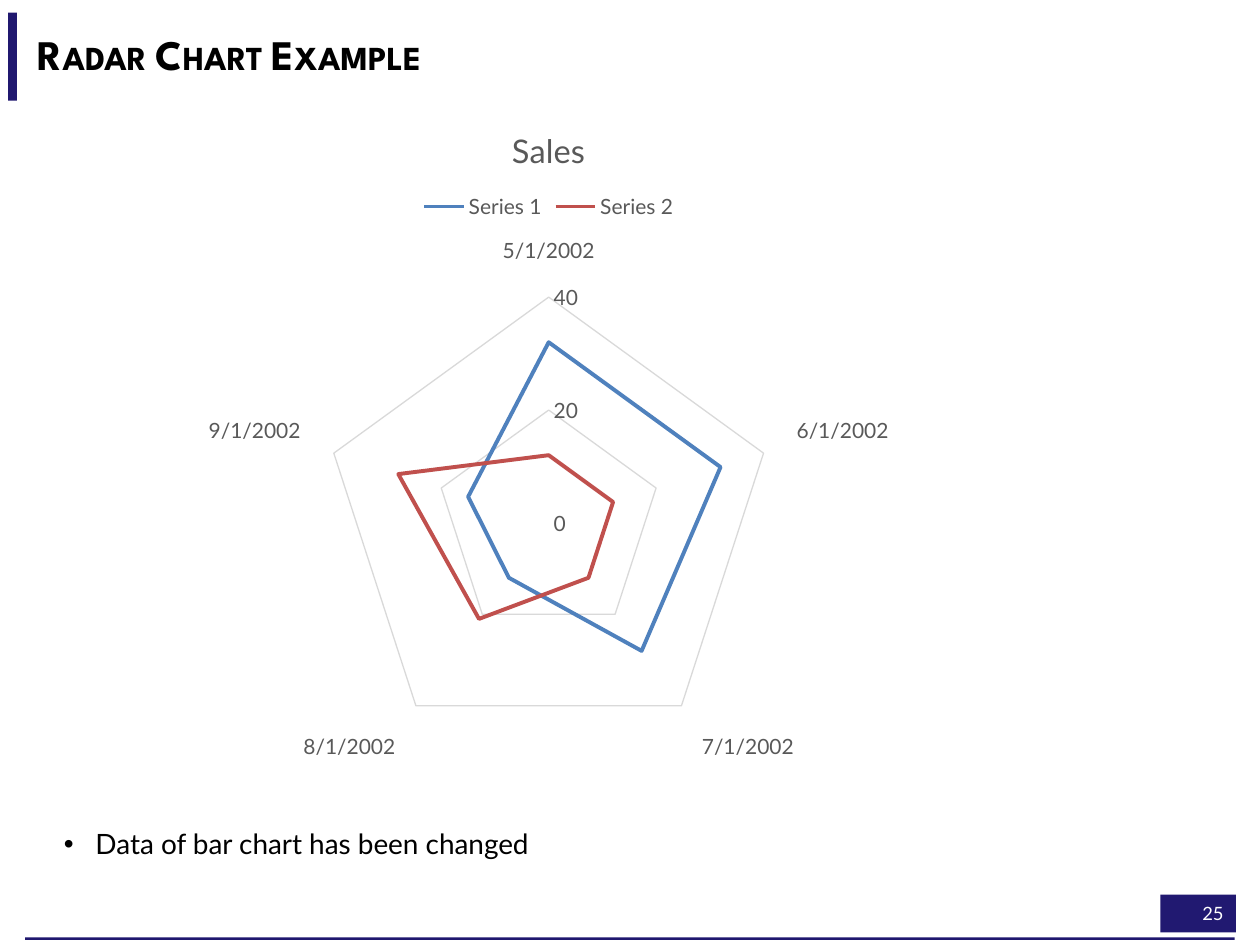
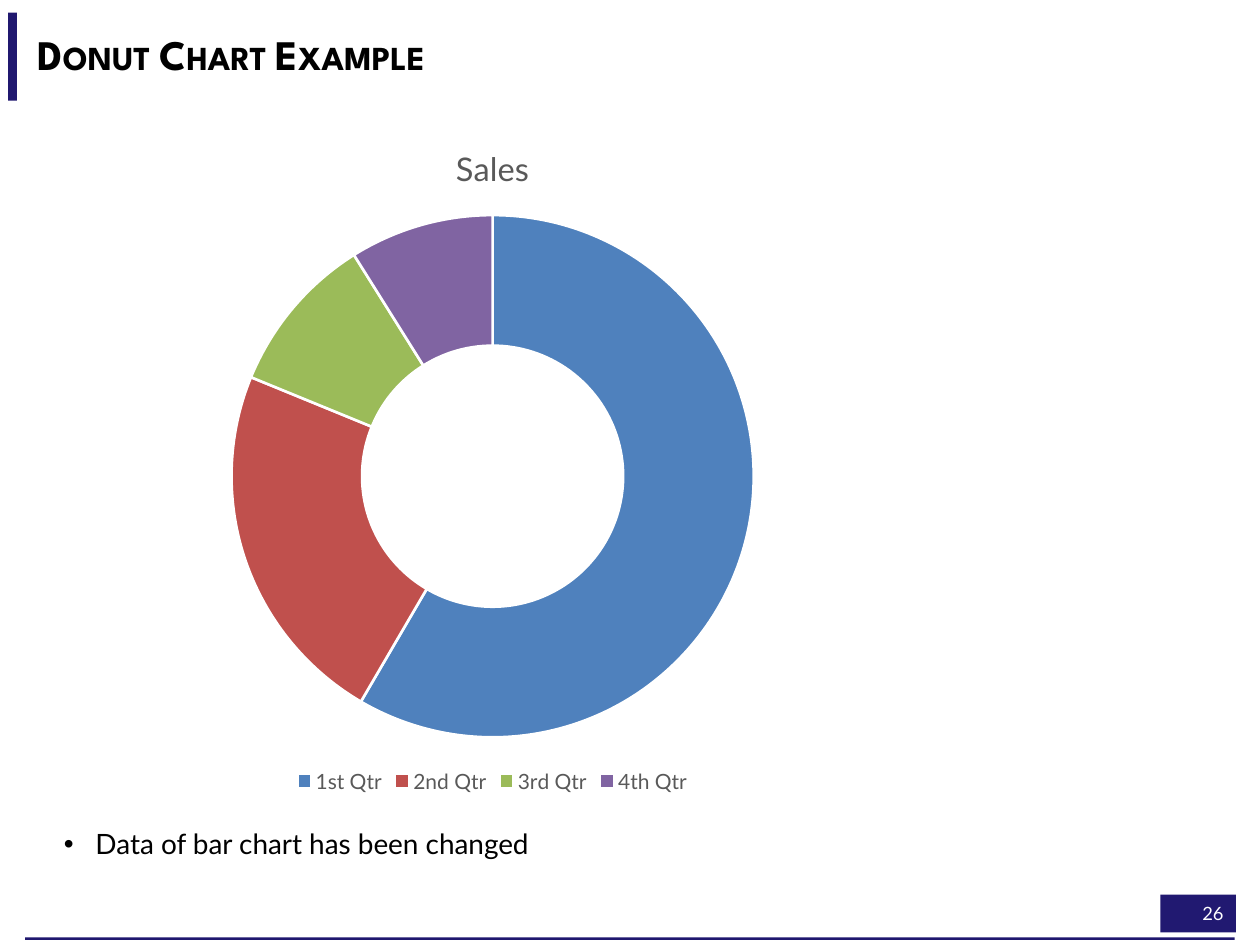
import lxml.etree
import pptx
import pptx.chart.data
import pptx.dml.color
import pptx.enum.chart
import pptx.enum.shapes
import pptx.enum.text
import pptx.oxml.ns
import pptx.util

Pt = pptx.util.Pt
RGBColor = pptx.dml.color.RGBColor
qn = pptx.oxml.ns.qn

NAVY = RGBColor(0x20, 0x18, 0x6F)
BADGE_NAVY = RGBColor(0x21, 0x19, 0x71)
WHITE = RGBColor(0xFF, 0xFF, 0xFF)
BLACK = RGBColor(0x00, 0x00, 0x00)
GRAY = RGBColor(0x59, 0x59, 0x59)
GRID = RGBColor(0xD9, 0xD9, 0xD9)
BLUE = RGBColor(0x4F, 0x81, 0xBD)
RED = RGBColor(0xC0, 0x50, 0x4D)
GREEN = RGBColor(0x9B, 0xBB, 0x59)
PURPLE = RGBColor(0x80, 0x64, 0xA2)
PALETTE = (BLUE, RED, GREEN, PURPLE)

BODY_FONT = "Lato"
TITLE_FONT = "League Spartan"
TITLE_ONLY = 5


def style_font(font, name, size, color, bold=False):
    font.name = name
    font.size = Pt(size)
    font.color.rgb = color
    font.bold = bold


def add_band(page, left, top, width, height, color):
    band = page.shapes.add_shape(
        pptx.enum.shapes.MSO_SHAPE.RECTANGLE,
        Pt(left), Pt(top), Pt(width), Pt(height))
    band.shadow.inherit = False
    band.fill.solid()
    band.fill.fore_color.rgb = color
    band.line.fill.background()
    return band


def add_page_number(page, number):
    badge = add_band(page, 663.1, 511.2, 43.2, 21.6, BADGE_NAVY)
    frame = badge.text_frame
    frame.text = str(number)
    frame.vertical_anchor = pptx.enum.text.MSO_ANCHOR.MIDDLE
    para = frame.paragraphs[0]
    para.alignment = pptx.enum.text.PP_ALIGN.RIGHT
    style_font(para.runs[0].font, BODY_FONT, 10.5, WHITE)


def set_title(page, text):
    title = page.shapes.title
    title.left, title.top = Pt(14.4), Pt(7.2)
    title.width, title.height = Pt(691.2), Pt(50.4)
    title.fill.solid()
    title.fill.fore_color.rgb = WHITE
    white = title.element.spPr.find(".//" + qn("a:srgbClr"))
    lxml.etree.SubElement(white, qn("a:alpha"), val="50000")
    frame = title.text_frame
    frame.text = text
    frame.auto_size = pptx.enum.text.MSO_AUTO_SIZE.NONE
    frame.vertical_anchor = pptx.enum.text.MSO_ANCHOR.MIDDLE
    para = frame.paragraphs[0]
    para.alignment = pptx.enum.text.PP_ALIGN.LEFT
    para.line_spacing = 0.9
    span = para.runs[0]
    style_font(span.font, TITLE_FONT, 24, BLACK, bold=True)
    span.font._element.set("cap", "small")


def add_bullet(page, text):
    box = page.shapes.add_textbox(Pt(29.5), Pt(470.9), Pt(643.7), Pt(61.9))
    frame = box.text_frame
    frame.word_wrap = True
    frame.text = text
    para = frame.paragraphs[0]
    para.line_spacing = 0.9
    para.space_before = Pt(10)
    style_font(para.runs[0].font, BODY_FONT, 16, BLACK)
    properties = para._p.get_or_add_pPr()
    properties.set("marL", str(Pt(18)))
    properties.set("indent", str(-Pt(18)))
    lxml.etree.SubElement(properties, qn("a:buFont"), typeface="Arial")
    lxml.etree.SubElement(properties, qn("a:buChar"), char="•")


def add_page(deck, number, title):
    page = deck.slides.add_slide(deck.slide_layouts[TITLE_ONLY])
    add_page_number(page, number)
    add_band(page, 14.4, 535.7, 691.2, 1.4, NAVY)
    add_band(page, 4.7, 7.2, 5, 50.4, NAVY)
    set_title(page, title)
    add_bullet(page, "Data of bar chart has been changed")
    return page


def add_sales_chart(page, kind, place, categories, series, legend_position):
    data = pptx.chart.data.CategoryChartData()
    data.categories = categories
    for name, values in series.items():
        data.add_series(name, values)
    chart = page.shapes.add_chart(kind, *map(Pt, place), data).chart
    style_font(chart.font, BODY_FONT, 10, BLACK)
    chart.has_title = True
    chart.chart_title.include_in_layout = False
    frame = chart.chart_title.text_frame
    frame.text = "Sales"
    style_font(frame.paragraphs[0].runs[0].font, BODY_FONT, 18.6, GRAY)
    chart.has_legend = True
    chart.legend.position = legend_position
    chart.legend.include_in_layout = False
    style_font(chart.legend.font, BODY_FONT, 12, GRAY)
    return chart


def style_axis(axis):
    axis.major_tick_mark = pptx.enum.chart.XL_TICK_MARK.NONE
    axis.minor_tick_mark = pptx.enum.chart.XL_TICK_MARK.NONE
    style_font(axis.tick_labels.font, BODY_FONT, 12, GRAY)


def style_line(line, color, width):
    line.color.rgb = color
    line.width = Pt(width)


def add_radar(page):
    chart = add_sales_chart(
        page, pptx.enum.chart.XL_CHART_TYPE.RADAR, (14.4, 57.6, 598.3, 383.8),
        [f"{month}/1/2002" for month in range(5, 10)],
        {"Series 1": (32, 32, 28, 12, 15), "Series 2": (12, 12, 12, 21, 28)},
        pptx.enum.chart.XL_LEGEND_POSITION.TOP)
    chart.plots[0].vary_by_categories = False
    for series, color in zip(chart.plots[0].series, PALETTE):
        series.smooth = False
        style_line(series.format.line, color, 2.25)
    months, scale = chart.category_axis, chart.value_axis
    style_axis(months)
    style_axis(scale)
    months.has_major_gridlines = False
    style_line(months.format.line, GRID, 0.75)
    scale.minimum_scale, scale.maximum_scale, scale.major_unit = 0, 40, 20
    scale.format.line.fill.background()
    scale.has_major_gridlines = True
    style_line(scale.major_gridlines.format.line, GRID, 0.75)


def add_donut(page):
    chart = add_sales_chart(
        page, pptx.enum.chart.XL_CHART_TYPE.DOUGHNUT, (22.3, 67.7, 518.4, 388.8),
        ("1st Qtr", "2nd Qtr", "3rd Qtr", "4th Qtr"),
        {"Sales": (59, 23, 10, 9)},
        pptx.enum.chart.XL_LEGEND_POSITION.BOTTOM)
    plot = chart.plots[0]
    plot.vary_by_categories = True
    for index, color in enumerate(PALETTE):
        look = plot.series[0].points[index].format
        look.fill.solid()
        look.fill.fore_color.rgb = color
        style_line(look.line, WHITE, 1.5)
    chart._chartSpace.find(".//" + qn("c:holeSize")).set("val", "75")


def main():
    deck = pptx.Presentation()
    deck.slide_width, deck.slide_height = Pt(720), Pt(540)
    add_radar(add_page(deck, 25, "Radar Chart Example"))
    add_donut(add_page(deck, 26, "Donut Chart Example"))
    deck.save("out.pptx")


if __name__ == "__main__":
    main()
